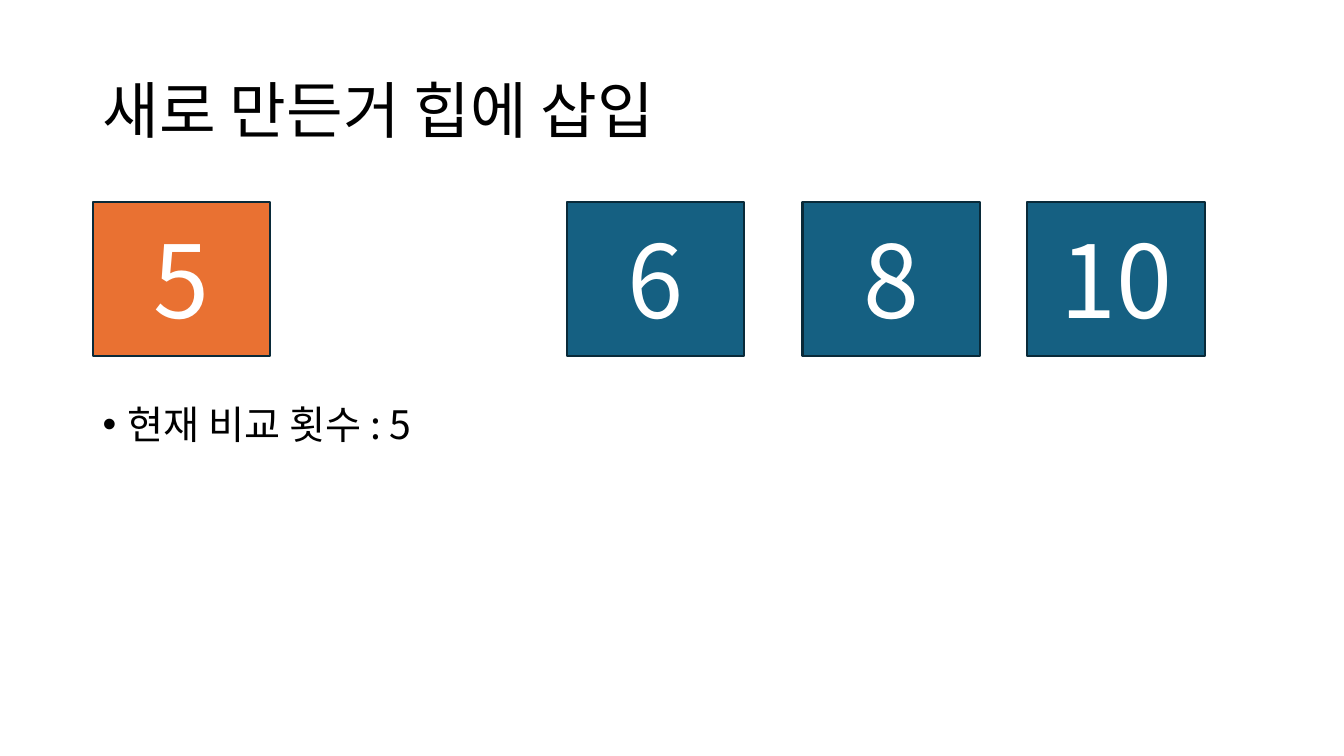
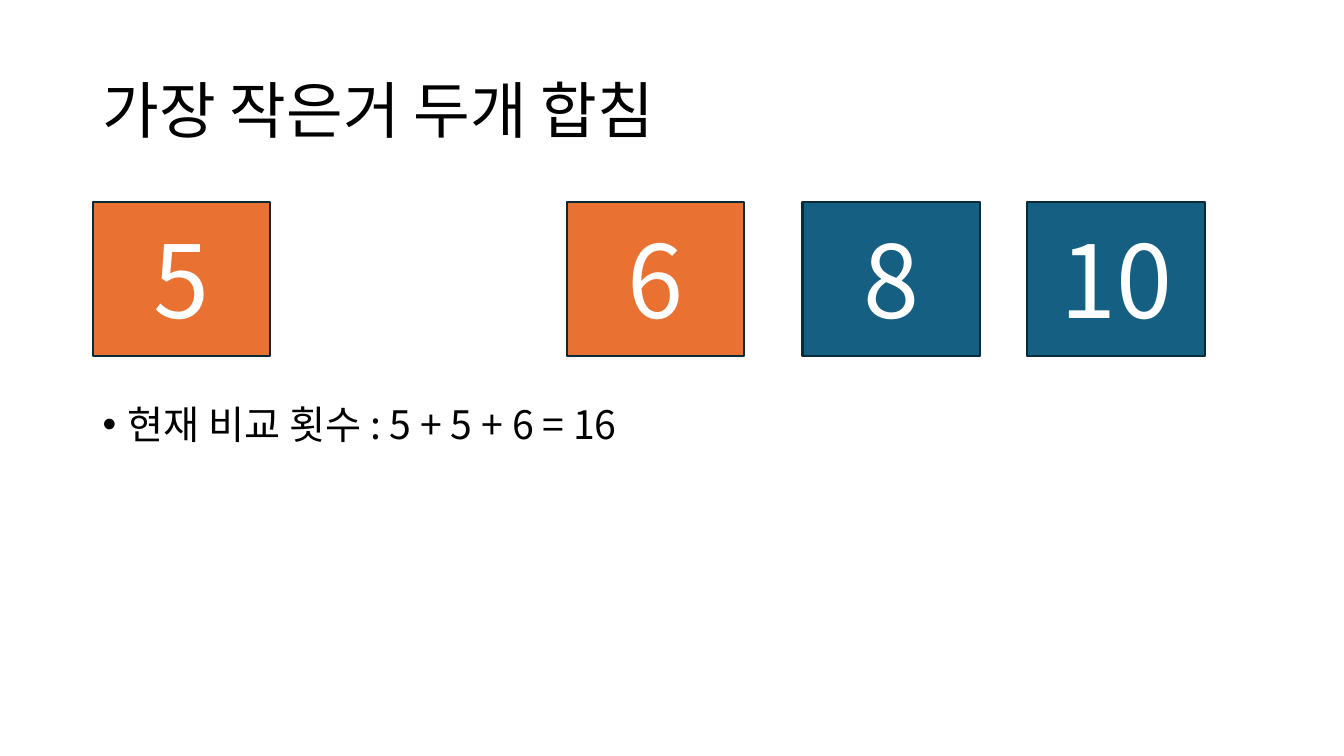
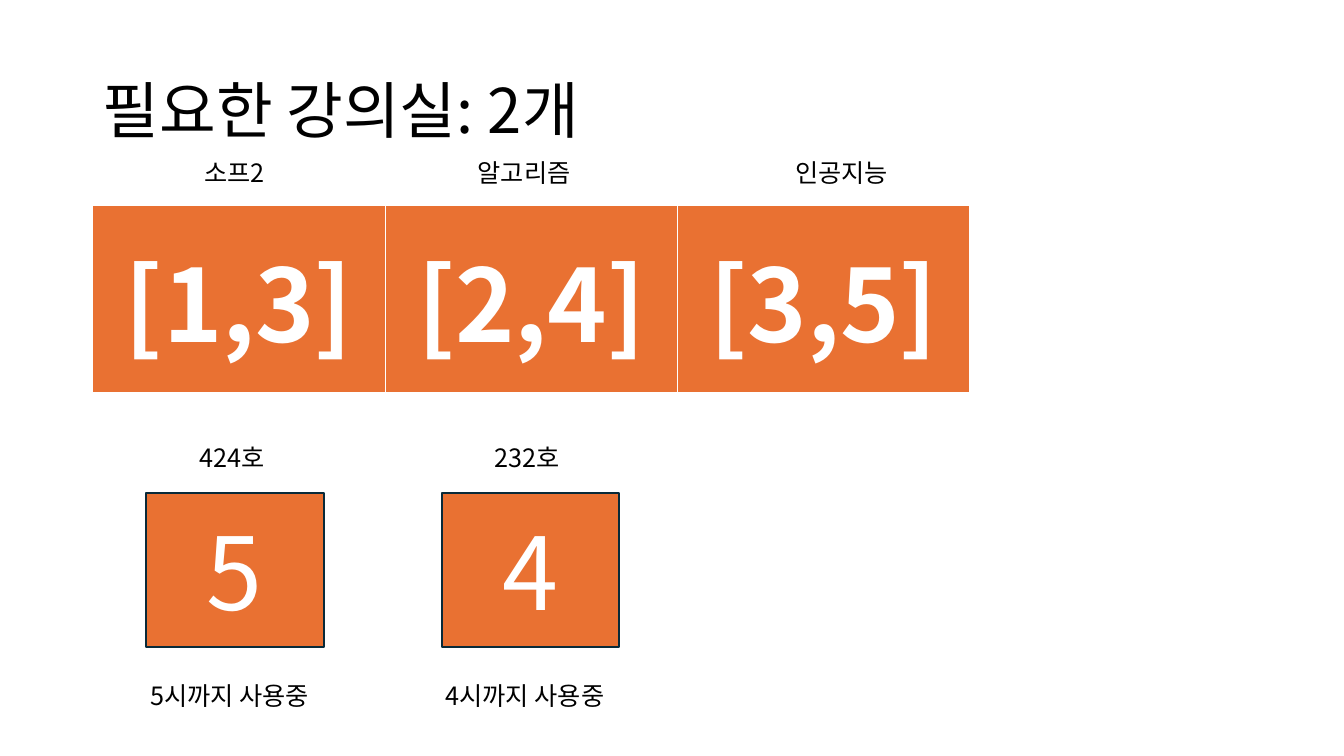
"""Build three slides on heap merging and lecture room allocation."""
from lxml import etree
from pptx import Presentation
from pptx.dml.color import RGBColor
from pptx.enum.shapes import MSO_SHAPE
from pptx.enum.text import MSO_ANCHOR, MSO_AUTO_SIZE, PP_ALIGN
from pptx.oxml.ns import qn
from pptx.util import Inches, Pt

RECTANGLE = MSO_SHAPE.RECTANGLE
MIDDLE = MSO_ANCHOR.MIDDLE
TOP = MSO_ANCHOR.TOP
CENTER = PP_ALIGN.CENTER
FIT_SHAPE = MSO_AUTO_SIZE.SHAPE_TO_FIT_TEXT

FONT = "Noto Sans CJK KR"
BLACK, WHITE = "000000", "FFFFFF"
ORANGE, BLUE, OUTLINE = "E97132", "156082", "092A39"

LEFT, CONTENT_WIDTH = 0.92, 11.5
TILE_WIDTH, TILE_HEIGHT = 1.76, 1.53
LABEL_WIDTH, LABEL_HEIGHT, STATUS_WIDTH = 1.25, 0.4, 2.23
HEAP_TOP, ROOM_TOP = 2, 4.89
LECTURE_TOP, LECTURE_WIDTH, LECTURE_HEIGHT = 2.04, 2.9, 1.85

HEAP = [("5", 0.92), ("6", 5.62), ("8", 7.96), ("10", 10.19)]
HEAP_STEPS = [
    ("새로 만든거 힙에 삽입", "현재 비교 횟수 : 5", {"5"}),
    ("가장 작은거 두개 합침", "현재 비교 횟수 : 5 + 5 + 6 = 16", {"5", "6"}),
]
ROOMS_TITLE = "필요한 강의실: 2개"
LECTURES = [("소프2", 1.93, "[1,3]"), ("알고리즘", 4.64, "[2,4]"), ("인공지능", 7.79, "[3,5]")]
ROOMS = [("424호", "5", "5시까지 사용중", 1.45), ("232호", "4", "4시까지 사용중", 4.38)]


def color(value):
    return RGBColor.from_string(value)


def style(paragraph, size, text_color, bold=False):
    font = paragraph.font
    font.size, font.name, font.bold = Pt(size), FONT, bold
    font.color.rgb = color(text_color)
    defaults = paragraph._p.pPr.find(qn("a:defRPr"))
    etree.SubElement(defaults, qn("a:ea"), typeface=FONT)


def add_text(slide, text, left, top, width, height, size, anchor=TOP):
    box = slide.shapes.add_textbox(Inches(left), Inches(top), Inches(width), Inches(height))
    frame = box.text_frame
    frame.word_wrap, frame.vertical_anchor = True, anchor
    paragraph = frame.paragraphs[0]
    paragraph.text = text
    style(paragraph, size, BLACK)
    return frame


def add_label(slide, text, left, top, width=LABEL_WIDTH):
    add_text(slide, text, left, top, width, LABEL_HEIGHT, 18).auto_size = FIT_SHAPE


def add_tile(slide, value, left, top, fill):
    tile = slide.shapes.add_shape(
        RECTANGLE, Inches(left), Inches(top), Inches(TILE_WIDTH), Inches(TILE_HEIGHT))
    tile.shadow.inherit = False
    tile.fill.solid()
    tile.fill.fore_color.rgb = color(fill)
    tile.line.color.rgb = color(OUTLINE)
    tile.line.width = Pt(1.5)
    tile.text_frame.vertical_anchor = MIDDLE
    paragraph = tile.text_frame.paragraphs[0]
    paragraph.text, paragraph.alignment = value, CENTER
    style(paragraph, 72, WHITE)


def add_titled_slide(deck, title):
    slide = deck.slides.add_slide(deck.slide_layouts[6])
    frame = add_text(slide, title, LEFT, 0.4, CONTENT_WIDTH, 1.45, 44, MIDDLE)
    frame.paragraphs[0].line_spacing = 0.9
    return slide


def add_bullet(slide, text):
    box = slide.shapes.add_textbox(
        Inches(LEFT), Inches(3.97), Inches(CONTENT_WIDTH), Inches(2.78))
    box.text_frame.word_wrap = True
    paragraph = box.text_frame.paragraphs[0]
    paragraph.text, paragraph.line_spacing = text, 0.9
    properties = paragraph._p.get_or_add_pPr()
    properties.set("marL", str(Inches(0.25)))
    properties.set("indent", str(-Inches(0.25)))
    etree.SubElement(properties, qn("a:buFont"), typeface="Arial")
    etree.SubElement(properties, qn("a:buChar"), char="•")
    style(paragraph, 28, BLACK)


def add_heap_slide(deck, title, comparisons, selected):
    slide = add_titled_slide(deck, title)
    add_bullet(slide, comparisons)
    for value, left in HEAP:
        add_tile(slide, value, left, HEAP_TOP, ORANGE if value in selected else BLUE)


def add_lectures(slide):
    lectures = slide.shapes.add_table(
        1, len(LECTURES), Inches(LEFT), Inches(LECTURE_TOP),
        Inches(LECTURE_WIDTH * len(LECTURES)), Inches(LECTURE_HEIGHT)).table
    for column, (subject, label_left, hours) in enumerate(LECTURES):
        cell = lectures.cell(0, column)
        cell.fill.solid()
        cell.fill.fore_color.rgb = color(ORANGE)
        cell.vertical_anchor = MIDDLE
        paragraph = cell.text_frame.paragraphs[0]
        paragraph.text, paragraph.alignment = hours, CENTER
        style(paragraph, 72, WHITE, bold=True)
        add_label(slide, subject, label_left, 1.51)


def add_rooms_slide(deck):
    slide = add_titled_slide(deck, ROOMS_TITLE)
    add_lectures(slide)
    for room, end_hour, status, left in ROOMS:
        add_label(slide, room, left + 0.43, ROOM_TOP - 0.55)
        add_tile(slide, end_hour, left, ROOM_TOP, ORANGE)
        add_label(slide, status, left - 0.06, ROOM_TOP + 1.81, STATUS_WIDTH)


def main():
    deck = Presentation()
    deck.slide_width, deck.slide_height = Inches(13.33), Inches(7.5)
    for step in HEAP_STEPS:
        add_heap_slide(deck, *step)
    add_rooms_slide(deck)
    deck.save("out.pptx")


if __name__ == "__main__":
    main()
